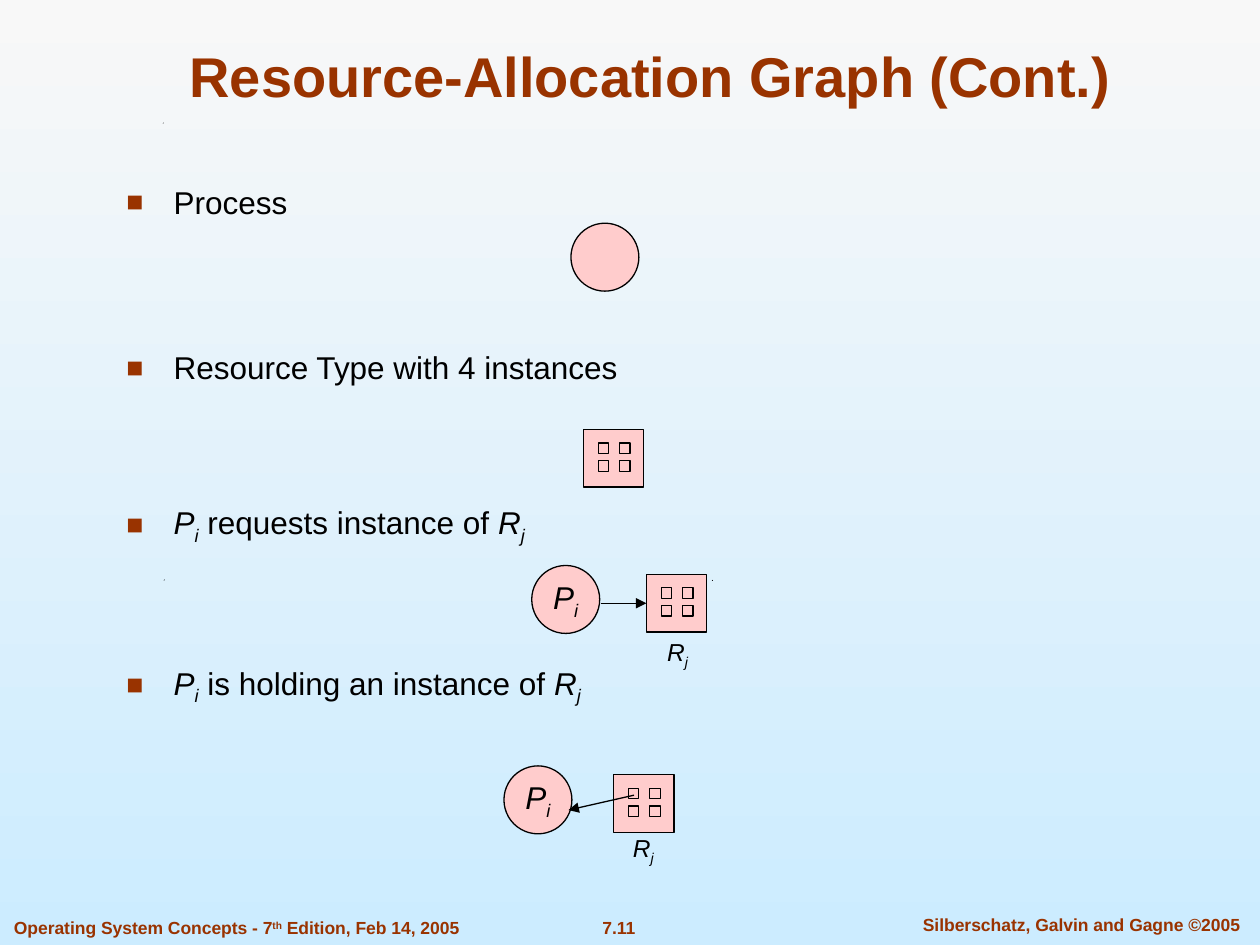
import lxml.etree
import pptx
import pptx.dml.color
import pptx.enum.shapes
import pptx.enum.text
import pptx.oxml.ns
import pptx.util

Cm = pptx.util.Cm
Pt = pptx.util.Pt
SHAPE = pptx.enum.shapes.MSO_SHAPE
ALIGN = pptx.enum.text.PP_ALIGN
ANCHOR = pptx.enum.text.MSO_ANCHOR
qn = pptx.oxml.ns.qn

RUST = pptx.dml.color.RGBColor(0x99, 0x33, 0x00)
PINK = pptx.dml.color.RGBColor(0xFF, 0xCC, 0xCC)
BLACK = pptx.dml.color.RGBColor(0x00, 0x00, 0x00)
PALE = pptx.dml.color.RGBColor(0xF8, 0xF8, 0xF8)
SKY = pptx.dml.color.RGBColor(0xCC, 0xEC, 0xFF)

HEAD = {"name": "Arial", "size": Pt(32), "bold": True}
BODY = {"name": "Arial", "size": Pt(18)}
NOTE = {"name": "Arial", "size": Pt(14)}
FOOT = {"name": "Arial", "size": Pt(10), "bold": True}

# Marked runs: text, italic, baseline shift in thousandths of a percent
LOW = -25000
PROC = [("P", True, 0), ("i", True, LOW)]
RES = [("R", True, 0), ("j", True, LOW)]


def plain(text):
    return [(text, False, 0)]


def write(para, runs, form, color, align=ALIGN.LEFT):
    para.alignment = align
    for text, slant, shift in runs:
        run = para.add_run()
        run.text = text
        for key, value in form.items():
            setattr(run.font, key, value)
        run.font.color.rgb = color
        if slant:
            run.font.italic = True
        if shift:
            run.font._element.set("baseline", str(shift))


def add_text(slide, box, runs, form, color, align=ALIGN.LEFT, anchor=ANCHOR.TOP):
    frame = slide.shapes.add_textbox(*map(Cm, box)).text_frame
    frame.word_wrap = True
    frame.vertical_anchor = anchor
    write(frame.paragraphs[0], runs, form, color, align)


def add_form(shapes, kind, box):
    shape = shapes.add_shape(kind, *map(Cm, box))
    shape.shadow.inherit = False
    shape.fill.solid()
    shape.fill.fore_color.rgb = PINK
    shape.line.color.rgb = BLACK
    shape.line.width = Pt(0.75)
    return shape


def add_ring(slide, left, top, runs=()):
    """Process node, with an optional name."""
    ring = add_form(slide.shapes, SHAPE.OVAL, (left, top, 1.37, 1.37))
    if runs:
        frame = ring.text_frame
        frame.word_wrap = False
        frame.vertical_anchor = ANCHOR.MIDDLE
        write(frame.paragraphs[0], runs, BODY, BLACK, ALIGN.CENTER)


def add_store(slide, left, top):
    """Resource node holding a two by two grid of instances."""
    group = slide.shapes.add_group_shape()
    frame = add_form(group.shapes, SHAPE.RECTANGLE, (left, top, 1.22, 1.16))
    for row in range(2):
        for col in range(2):
            add_form(group.shapes, SHAPE.RECTANGLE,
                     (left + 0.3 + 0.43 * col, top + 0.27 + 0.36 * row, 0.21, 0.21))
    return frame


def add_arrow(slide, start, end):
    line = slide.shapes.add_connector(
        pptx.enum.shapes.MSO_CONNECTOR.STRAIGHT, *map(Cm, start + end))
    line.line.color.rgb = BLACK
    line.line.width = Pt(0.75)
    props = line._element.spPr
    tip = lxml.etree.SubElement(props.find(qn("a:ln")), qn("a:tailEnd"))
    tip.set("type", "triangle")
    lxml.etree.SubElement(props, qn("a:effectLst"))
    return line


def add_label(slide, left, top):
    add_text(slide, (left, top, 2, 0.94), RES, NOTE, BLACK,
             ALIGN.CENTER, ANCHOR.MIDDLE)


def add_list(slide, box):
    frame = slide.shapes.add_textbox(*map(Cm, box)).text_frame
    frame.word_wrap = True
    items = [
        (0, plain("Process")),
        (73, plain("Resource Type with 4 instances")),
        (67, PROC + plain(" requests instance of ") + RES),
        (67, PROC + plain(" is holding an instance of ") + RES),
    ]
    for pos, (gap, runs) in enumerate(items):
        para = frame.add_paragraph() if pos else frame.paragraphs[0]
        para.space_before = Pt(gap)
        props = para._p.get_or_add_pPr()
        props.set("marL", str(Cm(0.95)))
        props.set("indent", str(-Cm(0.95)))
        tint = lxml.etree.SubElement(props, qn("a:buClr"))
        lxml.etree.SubElement(tint, qn("a:srgbClr")).set("val", str(RUST))
        lxml.etree.SubElement(props, qn("a:buSzPct")).set("val", "90000")
        lxml.etree.SubElement(props, qn("a:buFont")).set("typeface", "Arial")
        lxml.etree.SubElement(props, qn("a:buChar")).set("char", "■")
        write(para, runs, BODY, BLACK)


def add_foot(slide, top):
    title = (plain("Operating System Concepts - 7") + [("th", False, 30000)]
             + plain(" Edition, Feb 14, 2005"))
    add_text(slide, (0.03, top, 11, 0.69), title, FOOT, RUST)
    add_text(slide, (11.23, top, 2.49, 0.69), plain("7.11"), FOOT, RUST, ALIGN.CENTER)
    add_text(slide, (18.03, top - 0.07, 7.54, 0.69),
             plain("Silberschatz, Galvin and Gagne ©2005"), FOOT, RUST, ALIGN.CENTER)


def add_specks(slide):
    size = Cm(0.02)
    for left, top in ((4.48, 13.78), (3.3, 11.68), (14.35, 11.69), (3.28, 2.47)):
        x, y = Cm(left), Cm(top)
        path = slide.shapes.build_freeform(x, y + size)
        path.add_line_segments([(x + size, y), (x + size, y + size)], close=True)
        speck = path.convert_to_shape()
        speck.shadow.inherit = False
        speck.fill.solid()
        speck.fill.fore_color.rgb = BLACK
        speck.line.fill.background()


def add_ground(slide):
    fill = slide.background.fill
    fill.gradient()
    fill.gradient_angle = 270
    for stop, color in zip(fill.gradient_stops, (PALE, SKY)):
        stop.color.rgb = color


def main():
    deck = pptx.Presentation()
    deck.slide_width, deck.slide_height = Cm(25.4), Cm(19.05)
    slide = deck.slides.add_slide(deck.slide_layouts[6])
    add_ground(slide)
    add_specks(slide)
    add_foot(slide, 18.37)

    # Title and list
    add_text(slide, (1.9, 0.62, 22.43, 1.7), plain("Resource-Allocation Graph (Cont.)"),
             HEAD, RUST, ALIGN.CENTER, ANCHOR.BOTTOM)
    add_list(slide, (2.3, 3.56, 20.42, 12.45))

    # Process and resource type
    add_ring(slide, 11.51, 4.5)
    add_store(slide, 11.76, 8.66)

    # Request edge
    add_ring(slide, 10.72, 11.4, PROC)
    store = add_store(slide, 13.03, 11.58)
    add_arrow(slide, (12.12, 12.16), (13.03, 12.16)).end_connect(store, 1)
    add_label(slide, 12.66, 12.7)

    # Holding edge, from one instance
    add_ring(slide, 10.16, 15.44, PROC)
    add_store(slide, 12.37, 15.62)
    add_arrow(slide, (12.78, 16.03), (11.46, 16.33))
    add_label(slide, 11.97, 16.66)

    deck.save("out.pptx")


if __name__ == "__main__":
    main()
